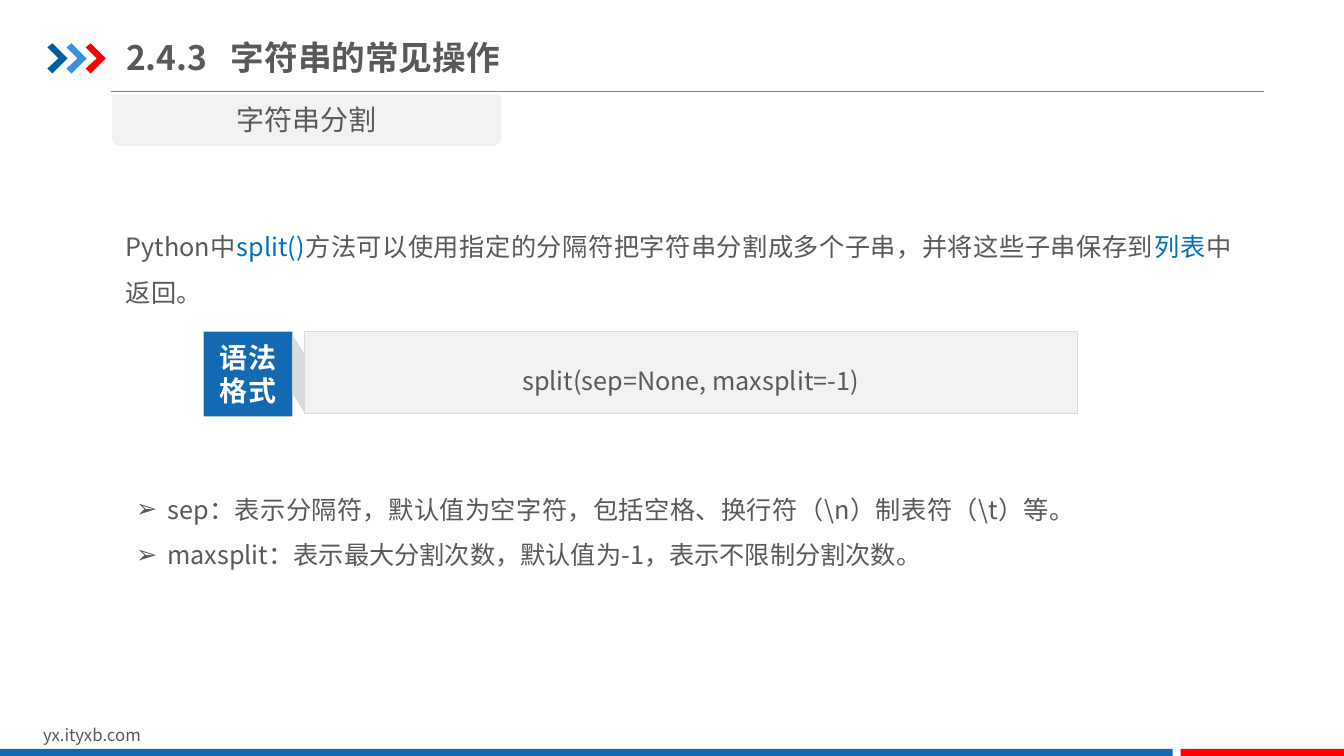
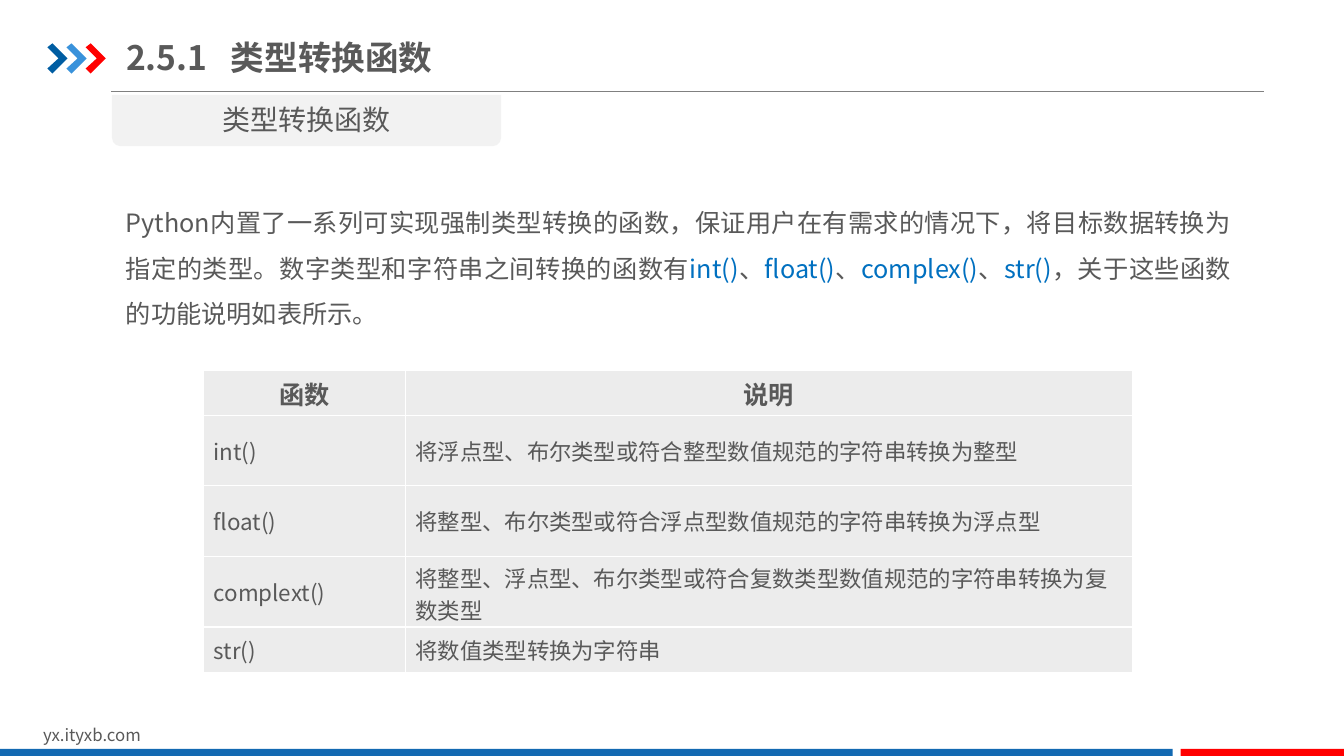
from dataclasses import dataclass

from lxml.etree import SubElement
from pptx import Presentation
from pptx.dml.color import RGBColor
from pptx.enum.shapes import MSO_CONNECTOR, MSO_SHAPE
from pptx.enum.text import MSO_ANCHOR, MSO_AUTO_SIZE, PP_ALIGN
from pptx.oxml.ns import qn
from pptx.util import Inches, Pt


@dataclass(frozen=True)
class Theme:
    font: str = "Noto Sans CJK SC"
    text: str = "595959"
    keyword: str = "0070C0"
    blue: str = "1369B2"
    red: str = "FF0000"
    white: str = "FFFFFF"
    panel: str = "F2F2F2"
    edge: str = "D9D9D9"
    cell: str = "ECECEC"
    rule: str = "808080"
    chevrons: tuple = ("005DA2", "3992DB", "FF0000")
    title_size: int = 24
    tab_size: int = 20
    body_size: int = 18
    cell_size: int = 16
    footer_size: int = 12


THEME = Theme()


def rgb(color):
    return RGBColor.from_string(color)


def box(*lengths):
    return [Inches(v) for v in lengths]


# Text
def add_run(p, text, size=THEME.body_size, color=THEME.text, bold=False):
    r = p.add_run()
    r.text = text
    r.font.size = Pt(size)
    r.font.bold = bold
    r.font.color.rgb = rgb(color)
    r.font.name = THEME.font
    SubElement(r.font._element, qn("a:ea"), typeface=THEME.font)


def add_textbox(s, at, text, size, align=PP_ALIGN.LEFT):
    tf = s.shapes.add_textbox(*box(*at)).text_frame
    tf.word_wrap = True
    p = tf.paragraphs[0]
    p.alignment = align
    add_run(p, text, size)


def add_intro(s, at, parts):
    """Justified paragraph; every second part is a keyword."""
    tf = s.shapes.add_textbox(*box(*at)).text_frame
    tf.word_wrap = True
    p = tf.paragraphs[0]
    p.alignment = PP_ALIGN.JUSTIFY
    p.line_spacing = 1.5
    for i, part in enumerate(parts):
        add_run(p, part, color=THEME.keyword if i % 2 else THEME.text)


def fill_title(s, number, heading):
    title = s.shapes.title
    title.left, title.top, title.width, title.height = box(1.25, 0.29, 5.34, 0.55)
    tf = title.text_frame
    tf.auto_size = MSO_AUTO_SIZE.NONE
    tf.vertical_anchor = MSO_ANCHOR.MIDDLE
    tf.margin_left = tf.margin_right = 0
    tf.margin_top = tf.margin_bottom = Inches(0.07)
    p = tf.paragraphs[0]
    tabs = SubElement(p._p.get_or_add_pPr(), qn("a:tabLst"))
    SubElement(tabs, qn("a:tab"), pos=str(Inches(1.04)), algn="l")
    p.alignment = PP_ALIGN.LEFT
    add_run(p, f"{number}\t{heading}", THEME.title_size, bold=True)


def fill_bullets(body, at, items):
    body.left, body.top, body.width, body.height = box(*at)
    tf = body.text_frame
    tf.auto_size = MSO_AUTO_SIZE.NONE
    for i, item in enumerate(items):
        p = tf.add_paragraph() if i else tf.paragraphs[0]
        pPr = p._p.get_or_add_pPr()
        pPr.set("marL", str(Inches(0.31)))
        pPr.set("indent", str(-Inches(0.31)))
        SubElement(pPr, qn("a:buChar"), char="➢")
        p.alignment = PP_ALIGN.JUSTIFY
        p.line_spacing = 1.5
        p.space_before = Pt(0)
        add_run(p, item)


# Shapes
def paint(shape, fill, line=None):
    shape.shadow.inherit = False
    shape.fill.solid()
    shape.fill.fore_color.rgb = rgb(fill)
    if line:
        shape.line.color.rgb = rgb(line)
        shape.line.width = Pt(0.25)
    else:
        shape.line.fill.background()


def add_block(s, at, fill, line=None, kind=MSO_SHAPE.RECTANGLE):
    sp = s.shapes.add_shape(kind, *box(*at))
    paint(sp, fill, line)
    return sp


def add_outline(s, points, fill):
    start, *rest = [box(*point) for point in points]
    fb = s.shapes.build_freeform(*start)
    fb.add_line_segments(rest, close=True)
    paint(fb.convert_to_shape(), fill)


def fill_block(sp, lines, spacing=1.0, **style):
    tf = sp.text_frame
    tf.word_wrap = True
    tf.vertical_anchor = MSO_ANCHOR.MIDDLE
    for i, line in enumerate(lines):
        p = tf.add_paragraph() if i else tf.paragraphs[0]
        p.alignment = PP_ALIGN.CENTER
        p.line_spacing = spacing
        add_run(p, line, **style)


def add_syntax(s, code):
    panel = add_block(s, (3.02, 3.29, 7.66, 0.81), THEME.panel, THEME.edge)
    fill_block(panel, [code], spacing=1.5)
    tag = add_block(s, (2.02, 3.29, 0.88, 0.84), THEME.blue)
    fill_block(tag, ["语法", "格式"], size=THEME.tab_size, color=THEME.white, bold=True)
    fold = [(3.02, 3.51), (3.02, 4.1), (2.9, 3.9), (2.9, 3.32)]
    add_outline(s, fold, THEME.edge)


# Table
def add_function_table(s, rows):
    widths, heights = (2, 7.21), (0.45, 0.7, 0.7, 0.7, 0.45)
    at = box(2.02, 3.67, sum(widths), sum(heights))
    table = s.shapes.add_table(len(rows), len(widths), *at).table
    table.horz_banding = False
    for col, width in zip(table.columns, widths):
        col.width = Inches(width)
    for i, (row, height, texts) in enumerate(zip(table.rows, heights, rows)):
        row.height = Inches(height)
        header = i == 0
        for cell, text in zip(row.cells, texts):
            style_cell(cell)
            p = cell.text_frame.paragraphs[0]
            p.alignment = PP_ALIGN.CENTER if header else PP_ALIGN.LEFT
            add_run(p, text, THEME.body_size if header else THEME.cell_size, bold=header)


def style_cell(cell):
    tcPr = cell._tc.get_or_add_tcPr()
    for side in ("lnL", "lnR", "lnT", "lnB"):
        ln = SubElement(tcPr, qn(f"a:{side}"), w=str(Pt(1)))
        fill = SubElement(ln, qn("a:solidFill"))
        SubElement(fill, qn("a:srgbClr"), val=THEME.white)
    cell.fill.solid()
    cell.fill.fore_color.rgb = rgb(THEME.cell)
    cell.vertical_anchor = MSO_ANCHOR.MIDDLE


# Shared frame: rule, chevrons, title, section tab, footer
def add_frame(prs, layout, number, heading, section):
    s = prs.slides.add_slide(prs.slide_layouts.get_by_name(layout))
    rule = s.shapes.add_connector(MSO_CONNECTOR.STRAIGHT, *box(1.1, 0.91, 12.54, 0.91))
    rule.line.color.rgb = rgb(THEME.rule)
    rule.line.width = Pt(0.75)
    SubElement(rule._element.spPr, qn("a:effectLst"))

    chevron = [(0.47, 0.47), (0.52, 0.43), (0.67, 0.58),
               (0.52, 0.73), (0.47, 0.68), (0.58, 0.58)]
    for i, color in enumerate(THEME.chevrons):
        add_outline(s, [(x + 0.19 * i, y) for x, y in chevron], color)

    fill_title(s, number, heading)
    tab = add_block(s, (1.11, 0.94, 3.86, 0.51), THEME.panel,
                    kind=MSO_SHAPE.ROUND_2_SAME_RECTANGLE)
    tab.rotation = 180
    add_textbox(s, (1.11, 0.97, 3.86, 0.44), section, THEME.tab_size, PP_ALIGN.CENTER)

    add_textbox(s, (0.33, 7.14, 3.18, 0.3), "yx.ityxb.com", THEME.footer_size)
    add_block(s, (0, 7.43, 11.63, 0.09), THEME.blue)
    add_block(s, (11.71, 7.43, 1.63, 0.09), THEME.red)
    return s


def build_split_slide(prs):
    s = add_frame(prs, "Title and Content", "2.4.3", "字符串的常见操作", "字符串分割")
    add_intro(s, (1.15, 2.1, 11.16, 1.01), [
        "Python中", "split()",
        "方法可以使用指定的分隔符把字符串分割成多个子串，并将这些子串保存到",
        "列表", "中返回。"])
    add_syntax(s, "split(sep=None, maxsplit=-1)")
    fill_bullets(s.placeholders[1], (1.25, 4.7, 9.26, 1.5), [
        "sep：表示分隔符，默认值为空字符，包括空格、换行符（\\n）制表符（\\t）等。",
        "maxsplit：表示最大分割次数，默认值为-1，表示不限制分割次数。"])


def build_conversion_slide(prs):
    s = add_frame(prs, "Title Only", "2.5.1", "类型转换函数", "类型转换函数")
    add_intro(s, (1.15, 1.86, 11.16, 1.46), [
        "Python内置了一系列可实现强制类型转换的函数，保证用户在有需求的情况下，"
        "将目标数据转换为指定的类型。数字类型和字符串之间转换的函数有",
        "int()", "、", "float()", "、", "complex()", "、", "str()",
        "，关于这些函数的功能说明如表所示。"])
    add_function_table(s, [
        ("函数", "说明"),
        ("int()", "将浮点型、布尔类型或符合整型数值规范的字符串转换为整型"),
        ("float()", "将整型、布尔类型或符合浮点型数值规范的字符串转换为浮点型"),
        ("complext()", "将整型、浮点型、布尔类型或符合复数类型数值规范的字符串转换为复数类型"),
        ("str()", "将数值类型转换为字符串")])


def main():
    prs = Presentation()
    prs.slide_width, prs.slide_height = box(13.33, 7.5)
    build_split_slide(prs)
    build_conversion_slide(prs)
    prs.save("out.pptx")


if __name__ == "__main__":
    main()
